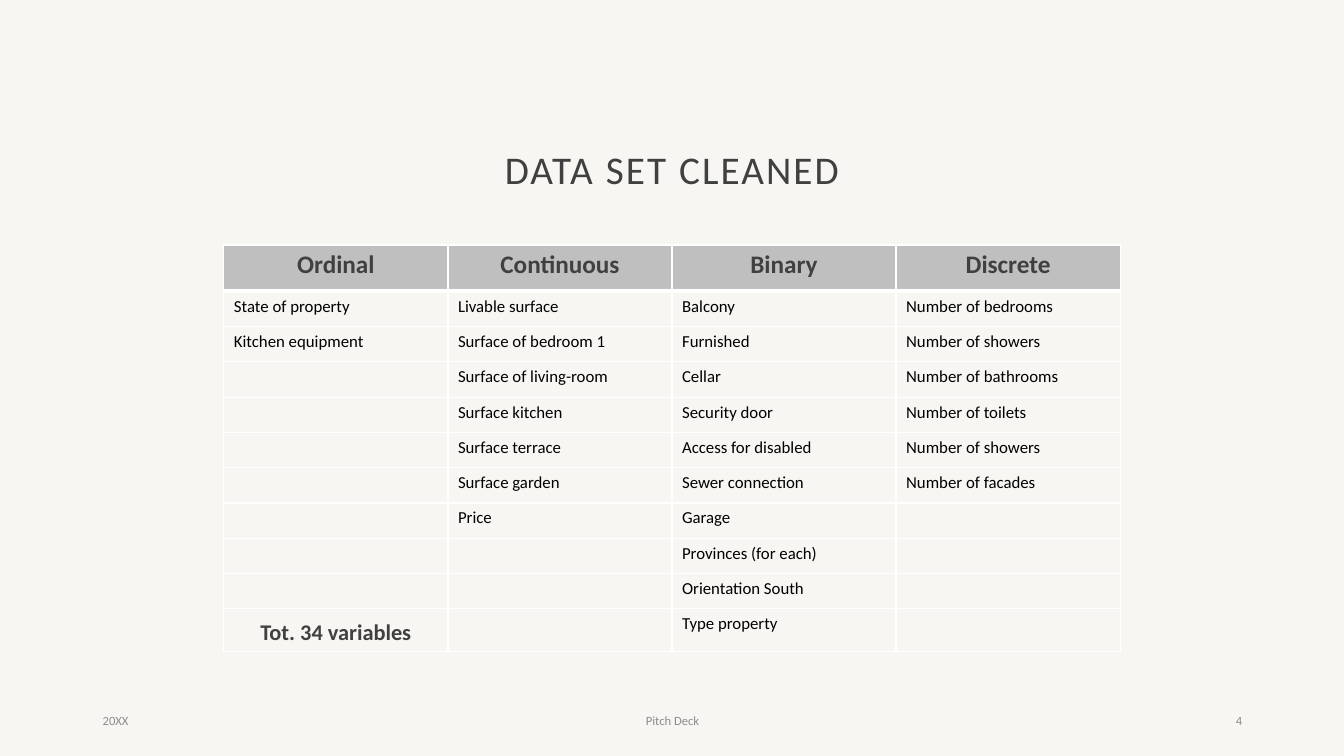
from lxml.etree import SubElement
from pptx import Presentation
from pptx.dml.color import RGBColor
from pptx.enum.shapes import MSO_CONNECTOR
from pptx.enum.text import MSO_ANCHOR as Anchor, PP_ALIGN as Align
from pptx.oxml import parse_xml
from pptx.oxml.ns import nsdecls, qn
from pptx.util import Inches, Pt


def color(value):
    return RGBColor.from_string(value)


def write(paragraph, text, size, shade, align=Align.LEFT, bold=False):
    paragraph.alignment = align
    run = paragraph.add_run()
    run.text = text
    run.font.name = "Calibri"
    run.font.size = Pt(size)
    run.font.bold = bold
    run.font.color.rgb = color(shade)
    return run


deck = Presentation()
deck.slide_width = Inches(13.33)
deck.slide_height = Inches(7.5)
slide = deck.slides.add_slide(deck.slide_layouts[6])
slide.background.fill.solid()
slide.background.fill.fore_color.rgb = color("F7F6F3")

for start, end in [(9.5, 2.57), (10.63, 2.95)]:
    ray = slide.shapes.add_connector(
        MSO_CONNECTOR.STRAIGHT, Inches(start), 0, Inches(13.33), Inches(end))
    ray.line.color.rgb = color("FBF4EF")
    ray.line.width = Pt(0.5)
    SubElement(ray.element.spPr, qn("a:effectLst"))

captions = [
    ("DATA SET CLEANED", (2.06, 0.98, 9.21, 1.45), 28, "404040", Align.CENTER),
    ("20XX", (0.92, 6.95, 3, 0.4), 9, "8C8C8C", Align.LEFT),
    ("Pitch Deck", (4.42, 6.95, 4.5, 0.4), 9, "8C8C8C", Align.CENTER),
    ("4", (9.42, 6.95, 3, 0.4), 9, "8C8C8C", Align.RIGHT),
]
for text, place, size, shade, align in captions:
    frame = slide.shapes.add_textbox(*map(Inches, place)).text_frame
    frame.word_wrap = True
    frame.vertical_anchor = Anchor.MIDDLE
    caption = write(frame.paragraphs[0], text, size, shade, align)
    if size == 28:
        frame.paragraphs[0].line_spacing = 0.9
        caption.font._element.set("spc", "150")

variables = {
    "Ordinal": ["State of property", "Kitchen equipment"],
    "Continuous": ["Livable surface", "Surface of bedroom 1", "Surface of living-room",
                   "Surface kitchen", "Surface terrace", "Surface garden", "Price"],
    "Binary": ["Balcony", "Furnished", "Cellar", "Security door", "Access for disabled",
               "Sewer connection", "Garage", "Provinces (for each)",
               "Orientation South", "Type property"],
    "Discrete": ["Number of bedrooms", "Number of showers", "Number of bathrooms",
                 "Number of toilets", "Number of showers", "Number of facades"],
}
row_heights = [0.46] + [0.35] * 9 + [0.42]
last_row = len(row_heights) - 1
table = slide.shapes.add_table(
    len(row_heights), len(variables), Inches(2.22), Inches(2.43),
    Inches(8.89), Inches(4)).table
table.horz_banding = False
for row, height in zip(table.rows, row_heights):
    row.height = Inches(height)

for c, (kind, names) in enumerate(variables.items()):
    table.columns[c].width = Inches(8.89 / 4)
    for r in range(len(row_heights)):
        cell = table.cell(r, c)
        paragraph = cell.text_frame.paragraphs[0]
        if r == 0:
            cell.fill.solid()
            cell.fill.fore_color.rgb = color("BFBFBF")
            write(paragraph, kind, 18, "404040", Align.CENTER, True)
        else:
            cell.fill.background()
            if r <= len(names):
                write(paragraph, names[r - 1], 12, "000000")
            elif (r, c) == (last_row, 0):
                cell.vertical_anchor = Anchor.BOTTOM
                write(paragraph, "Tot. 34 variables", 16, "404040", Align.CENTER, True)
            else:
                SubElement(paragraph._p, qn("a:endParaRPr")).set("sz", "1200")

        heavy_side = {0: "lnB", 1: "lnT"}.get(r)
        for i, side in enumerate(["lnL", "lnR", "lnT", "lnB"]):
            width = Pt(3 if side == heavy_side else 1)
            cell._tc.tcPr.insert(i, parse_xml(
                f'<a:{side} {nsdecls("a")} w="{width}"><a:solidFill>'
                f'<a:srgbClr val="FFFFFF"/></a:solidFill></a:{side}>'))

deck.save("out.pptx")
